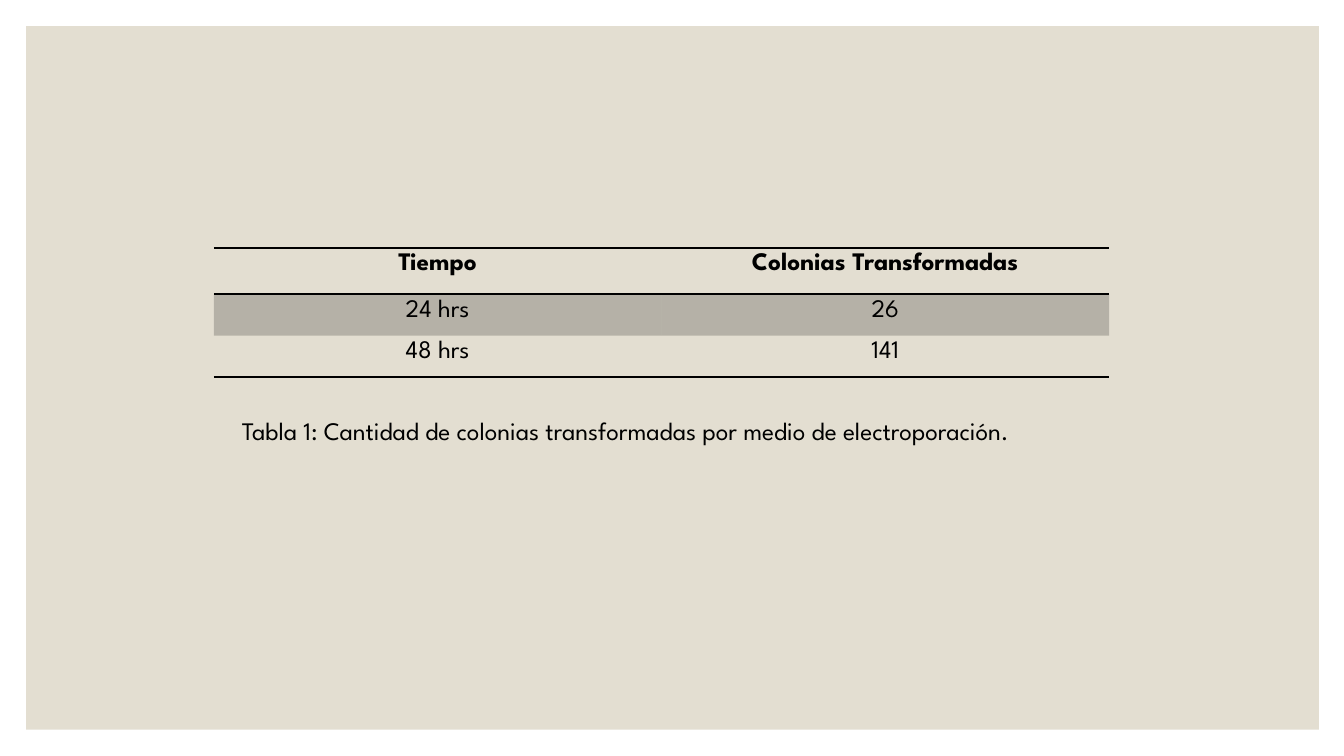
from dataclasses import dataclass

from lxml.etree import SubElement
from pptx import Presentation
from pptx.dml.color import RGBColor
from pptx.enum.shapes import MSO_SHAPE
from pptx.enum.text import PP_ALIGN
from pptx.oxml import parse_xml
from pptx.oxml.ns import nsdecls, qn
from pptx.util import Inches, Pt

COLORS = {"paper": "E3DED1", "ink": "000000"}
FONT = "League Spartan"
NO_STYLE = "{2D5ABB26-0587-4C30-8999-92F81FD0307C}"


@dataclass
class Row:
    values: tuple[str, str]
    height: float
    bold: bool = False
    shaded: bool = False
    top: float = 0
    bottom: float = 0


ROWS = [
    Row(("Tiempo", "Colonias Transformadas"), 0.46, bold=True, top=1, bottom=1.5),
    Row(("24 hrs", "26"), 0.41, shaded=True, top=1.5),
    Row(("48 hrs", "141"), 0.41, bottom=1),
]
CAPTION = "Tabla 1: Cantidad de colonias transformadas por medio de electroporación."


def add_text(paragraph, text: str, bold: bool = False) -> None:
    run = paragraph.add_run()
    run.text = text
    run.font.name = FONT
    run.font.size = Pt(18)
    run.font.bold = bold
    run.font.color.rgb = RGBColor.from_string(COLORS["ink"])


def set_borders(cell, row: Row) -> None:
    properties = cell._tc.get_or_add_tcPr()
    widths = {"lnL": 0, "lnR": 0, "lnT": row.top, "lnB": row.bottom}
    for position, (side, width) in enumerate(widths.items()):
        paint = (
            f'<a:solidFill><a:srgbClr val="{COLORS["ink"]}"/></a:solidFill>'
            if width
            else "<a:noFill/>"
        )
        border = parse_xml(f'<a:{side} {nsdecls("a")} w="{Pt(width)}">{paint}</a:{side}>')
        properties.insert(position, border)


def fill_cell(cell, row: Row, text: str) -> None:
    paragraph = cell.text_frame.paragraphs[0]
    paragraph.alignment = PP_ALIGN.CENTER
    add_text(paragraph, text, row.bold)
    if row.shaded:
        cell.fill.solid()
        cell.fill.fore_color.rgb = RGBColor.from_string(COLORS["ink"])
        color = cell._tc.tcPr.find(".//" + qn("a:srgbClr"))
        SubElement(color, qn("a:alpha"), val="20000")
    else:
        cell.fill.background()
    set_borders(cell, row)


def add_colony_table(slide) -> None:
    height = sum(row.height for row in ROWS)
    frame = slide.shapes.add_table(
        len(ROWS), 2, Inches(2.12), Inches(2.46), Inches(8.88), Inches(height)
    )
    table = frame.table
    table.first_row = False
    table.horz_banding = False
    table._tbl.tblPr.find(qn("a:tableStyleId")).text = NO_STYLE
    for row_index, row in enumerate(ROWS):
        table.rows[row_index].height = Inches(row.height)
        for column_index, text in enumerate(row.values):
            fill_cell(table.cell(row_index, column_index), row, text)


def add_panel(slide) -> None:
    panel = slide.shapes.add_shape(
        MSO_SHAPE.RECTANGLE, Inches(0.26), Inches(0.26), Inches(12.82), Inches(6.98)
    )
    panel.shadow.inherit = False
    panel.fill.solid()
    panel.fill.fore_color.rgb = RGBColor.from_string(COLORS["paper"])
    panel.line.fill.background()


def add_caption(slide) -> None:
    caption = slide.shapes.add_textbox(Inches(2.3), Inches(4), Inches(8.25), Inches(0.71))
    caption.text_frame.word_wrap = True
    caption.text_frame.margin_top = Inches(0.12)
    add_text(caption.text_frame.paragraphs[0], CAPTION)


def main() -> None:
    """Build the slide with the table of transformed colonies."""
    presentation = Presentation()
    presentation.slide_width = Inches(13.33)
    presentation.slide_height = Inches(7.5)
    slide = presentation.slides.add_slide(presentation.slide_layouts[6])
    add_panel(slide)
    add_colony_table(slide)
    add_caption(slide)
    presentation.save("out.pptx")


if __name__ == "__main__":
    main()
